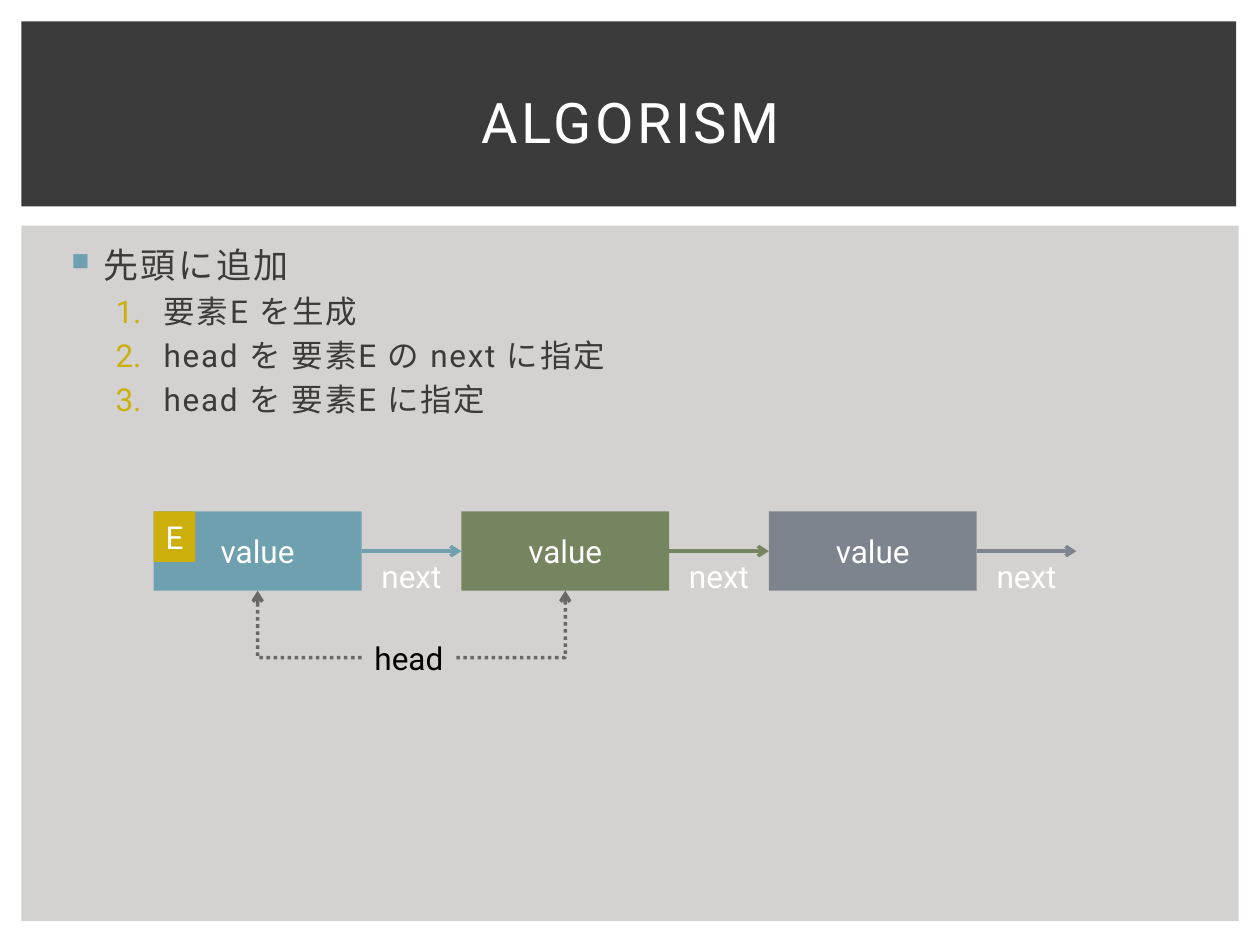
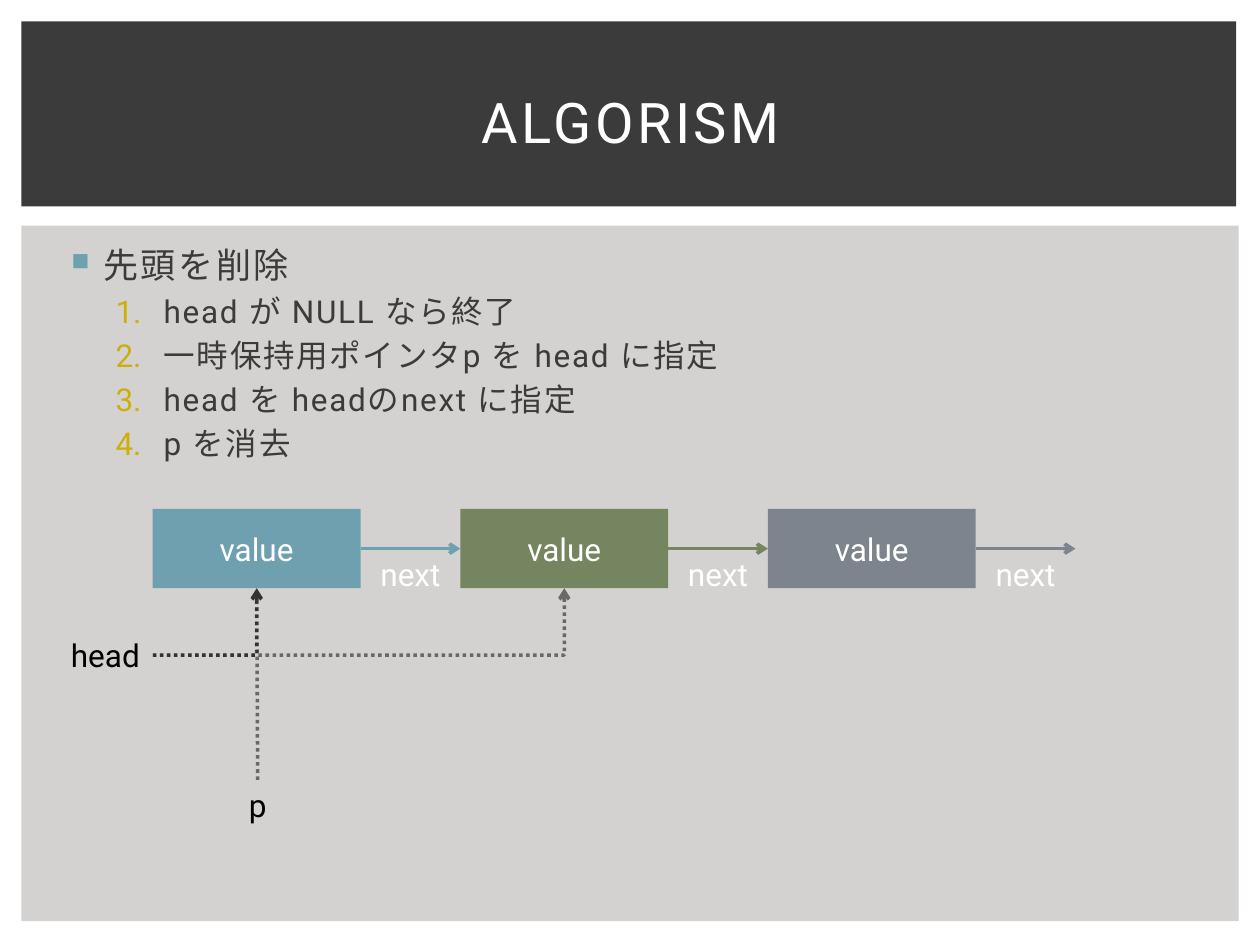
from pptx import Presentation
from pptx.dml.color import RGBColor
from pptx.enum.dml import MSO_LINE
from pptx.enum.shapes import MSO_CONNECTOR as CONN, MSO_SHAPE
from pptx.enum.text import MSO_ANCHOR as ANCHOR, PP_ALIGN as ALIGN
from pptx.oxml.ns import qn
from pptx.util import Cm, Pt
from lxml.etree import SubElement

COLORS = {
    "band": "3B3B3B", "panel": "D4D2D0", "white": "FFFFFF", "black": "000000",
    "blue": "6EA0B0", "green": "748560", "gray": "7E848D", "gold": "CCAF0A",
}
FONT = "Roboto"
NODE_W, NODE_H, GAP = 4.19, 1.6, 2.01
LABEL_H = 1.02
TOP, LEFT, BOTTOM, RIGHT = range(4)


def rgb(name):
    return RGBColor.from_string(COLORS[name])


def write(tf, text, size=18, color="white", align=ALIGN.CENTER,
          anchor=ANCHOR.MIDDLE, wrap=True, spacing=0, new=False):
    tf.word_wrap = wrap
    tf.vertical_anchor = anchor
    p = tf.add_paragraph() if new else tf.paragraphs[0]
    p.alignment = align
    r = p.add_run()
    r.text = text
    r.font.size = Pt(size)
    r.font.name = FONT
    r.font.color.rgb = rgb(color)
    rPr = r.font._element
    rPr.set("spc", str(int(spacing * 100)))
    SubElement(rPr, qn("a:ea"), typeface=FONT)
    return p


def rect(slide, x, y, w, h, fill):
    sp = slide.shapes.add_shape(MSO_SHAPE.RECTANGLE, Cm(x), Cm(y), Cm(w), Cm(h))
    sp.shadow.inherit = False
    sp.fill.solid()
    sp.fill.fore_color.rgb = rgb(fill)
    sp.line.fill.background()
    return sp


def label(slide, text, x, y, w, color="white"):
    sp = slide.shapes.add_textbox(Cm(x), Cm(y), Cm(w), Cm(LABEL_H))
    write(sp.text_frame, text, color=color, wrap=False)
    return sp


def arrow(slide, color, kind=CONN.STRAIGHT, start=(0, 0), end=(0, 0),
          begin_at=None, end_at=None, dotted=False):
    cx = slide.shapes.add_connector(kind, *map(Cm, start + end))
    if begin_at:
        cx.begin_connect(*begin_at)
    if end_at:
        cx.end_connect(*end_at)
    cx.line.color.rgb = rgb(color)
    cx.line.width = Pt(2)
    spPr = cx._element.spPr
    if kind == CONN.ELBOW:
        spPr.find(qn("a:prstGeom")).set("prst", "bentConnector2")
    if dotted:
        cx.line.dash_style = MSO_LINE.ROUND_DOT
        SubElement(next(spPr.iter(qn("a:srgbClr"))), qn("a:alpha"), val="50000")
    SubElement(spPr.find(qn("a:ln")), qn("a:tailEnd"), type="arrow")
    SubElement(spPr, qn("a:effectLst"))
    return cx


def pointer(slide, source, side, node, kind=CONN.ELBOW):
    arrow(slide, "black", kind, begin_at=(source, side),
          end_at=(node, BOTTOM), dotted=True)


def add_bullet(p, margin, indent, color, tag, **attrs):
    pPr = p._p.get_or_add_pPr()
    pPr.set("marL", str(Cm(margin)))
    pPr.set("indent", str(Cm(indent)))
    SubElement(SubElement(pPr, qn("a:spcBef")), qn("a:spcPct"), val="20000")
    SubElement(SubElement(pPr, qn("a:buClr")), qn("a:srgbClr"), val=COLORS[color])
    if tag == "a:buChar":
        SubElement(pPr, qn("a:buSzPct"), val="70000")
    SubElement(pPr, qn(tag), **attrs)


def add_steps(slide, heading, steps, x, y, w, h):
    tf = slide.shapes.add_textbox(Cm(x), Cm(y), Cm(w), Cm(h)).text_frame
    style = dict(color="band", align=ALIGN.LEFT, anchor=ANCHOR.TOP)
    p = write(tf, heading, size=20, spacing=1.5, **style)
    add_bullet(p, 0.76, -0.64, "blue", "a:buChar", char="■")
    for step in steps:
        p = write(tf, step, spacing=1, new=True, **style)
        p.level = 1
        add_bullet(p, 1.98, -0.97, "gold", "a:buAutoNum", type="arabicPeriod")


def add_base(prs, heading, steps):
    slide = prs.slides.add_slide(prs.slide_layouts[6])
    rect(slide, 0.43, 4.55, 24.54, 14.02, "panel")
    rect(slide, 0.43, 0.43, 24.49, 3.73, "band")
    add_steps(slide, heading, steps, 1.07, 4.78, 23.34, 12.24)
    title = slide.shapes.add_textbox(Cm(1.07), Cm(0.99), Cm(23.29), Cm(2.92))
    write(title.text_frame, "ALGORISM", size=32, spacing=2)
    return slide


def add_linked_list(slide, x, y):
    colors = ["blue", "green", "gray"]
    nodes = []
    for i, color in enumerate(colors):
        node = rect(slide, x + i * (NODE_W + GAP), y, NODE_W, NODE_H, color)
        write(node.text_frame, "value")
        nodes.append(node)
    mid = y + NODE_H / 2
    for i, color in enumerate(colors):
        right = x + i * (NODE_W + GAP) + NODE_W
        target = (nodes[i + 1], LEFT) if i + 1 < len(nodes) else None
        arrow(slide, color, start=(right, mid), end=(right + GAP, mid),
              begin_at=(nodes[i], RIGHT), end_at=target)
        label(slide, "next", right + 0.14, mid, 1.73)
    return nodes


def add_insert_slide(prs):
    slide = add_base(prs, "先頭に追加", [
        "要素E を生成",
        "head を 要素E の next に指定",
        "head を 要素E に指定",
    ])
    x, y = 3.1, 10.31
    first, second, _ = add_linked_list(slide, x, y)
    head = label(slide, "head", x + NODE_W, y + 2.44, 1.91, "black")
    pointer(slide, head, LEFT, first)
    pointer(slide, head, RIGHT, second)
    tag = rect(slide, x, y, 0.84, LABEL_H, "gold")
    write(tag.text_frame, "E", wrap=False)


def add_delete_slide(prs):
    slide = add_base(prs, "先頭を削除", [
        "head が NULL なら終了",
        "一時保持用ポインタp を head に指定",
        "head を headのnext に指定",
        "p を消去",
    ])
    x, y = 3.08, 10.26
    first, second, _ = add_linked_list(slide, x, y)
    head = label(slide, "head", x - 1.91, y + 2.44, 1.91, "black")
    p_label = label(slide, "p", x + 1.67, y + 5.46, 0.89, "black")
    pointer(slide, head, RIGHT, first)
    pointer(slide, p_label, TOP, first, CONN.STRAIGHT)
    pointer(slide, head, RIGHT, second)


def main():
    prs = Presentation()
    prs.slide_width, prs.slide_height = Cm(25.4), Cm(19.05)
    add_insert_slide(prs)
    add_delete_slide(prs)
    prs.save("out.pptx")


if __name__ == "__main__":
    main()
